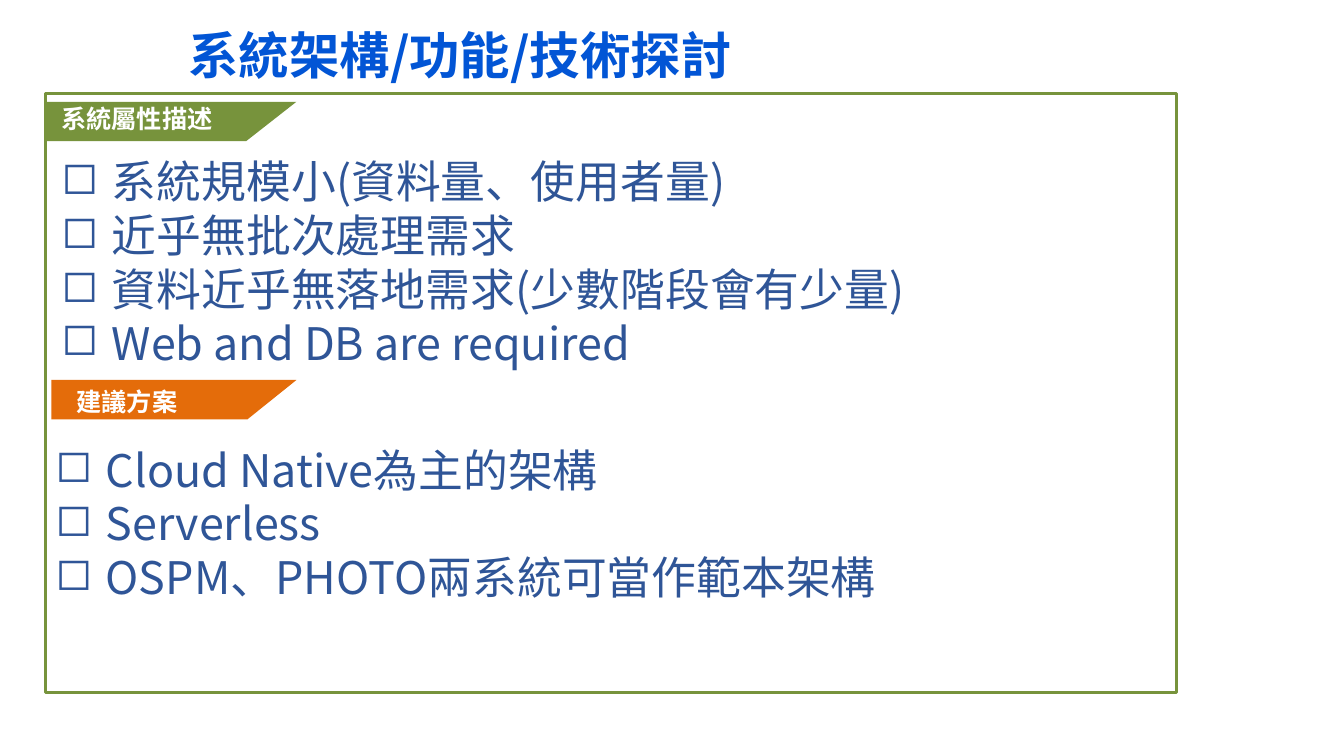
"""Build the slide on system architecture, functions and technology."""
from dataclasses import dataclass

import pptx
import pptx.dml.color
import pptx.enum.shapes
import pptx.enum.text
import pptx.oxml.ns
import pptx.shapes.autoshape
import pptx.slide
import pptx.text.text
import pptx.util
from lxml import etree

Inches = pptx.util.Inches
FONT = "Noto Sans CJK SC"
COLORS = {
    "green": "77933C",
    "orange": "E46C0A",
    "body": "2F5597",
    "white": "FFFFFF",
    "title_top": "0255D5",
    "title_bottom": "072C85",
}


@dataclass(frozen=True)
class Box:
    left: float
    top: float
    width: float
    height: float


@dataclass(frozen=True)
class Section:
    heading: str
    heading_box: Box
    heading_wraps: bool
    banner_box: Box
    banner_color: str
    points: tuple[str, ...]
    points_box: Box


SECTIONS = (
    Section(
        "系統屬性描述", Box(0.51, 0.98, 1.72, 0.4), False,
        Box(1.5, -0.04, 0.39, 2.49), "green",
        ("系統規模小(資料量、使用者量)", "近乎無批次處理需求",
         "資料近乎無落地需求(少數階段會有少量)", "Web and DB are required"),
        Box(0.51, 1.48, 10.72, 2.26),
    ),
    Section(
        "建議方案", Box(0.66, 3.78, 1.57, 0.4), True,
        Box(1.53, 2.75, 0.39, 2.43), "orange",
        ("Cloud Native為主的架構", "Serverless", "OSPM、PHOTO兩系統可當作範本架構"),
        Box(0.45, 4.34, 10.72, 2.26),
    ),
)


def rgb(name: str) -> pptx.dml.color.RGBColor:
    return pptx.dml.color.RGBColor.from_string(COLORS[name])


def add_shape(slide: pptx.slide.Slide, preset: pptx.enum.shapes.MSO_SHAPE,
              box: Box) -> pptx.shapes.autoshape.Shape:
    shape = slide.shapes.add_shape(preset, Inches(box.left), Inches(box.top),
                                   Inches(box.width), Inches(box.height))
    shape.shadow.inherit = False
    return shape


def add_banner(slide: pptx.slide.Slide, section: Section) -> None:
    banner = add_shape(slide, pptx.enum.shapes.MSO_SHAPE.FLOWCHART_MANUAL_INPUT,
                       section.banner_box)
    banner.rotation = 270
    banner.element.spPr.find(pptx.oxml.ns.qn("a:xfrm")).set("flipV", "1")
    banner.fill.solid()
    banner.fill.fore_color.rgb = rgb(section.banner_color)
    banner.line.fill.background()


def add_frame(slide: pptx.slide.Slide) -> None:
    frame = add_shape(slide, pptx.enum.shapes.MSO_SHAPE.RECTANGLE,
                      Box(0.45, 0.93, 11.22, 5.94))
    frame.fill.background()
    frame.line.color.rgb = rgb("green")
    frame.line.width = pptx.util.Pt(2)


def add_text(slide: pptx.slide.Slide, box: Box, text: str, size: float, color: str,
             bold: bool = False, wrap: bool = True) -> pptx.text.text.TextFrame:
    frame = slide.shapes.add_textbox(Inches(box.left), Inches(box.top),
                                     Inches(box.width), Inches(box.height)).text_frame
    frame.word_wrap = wrap
    frame.text = text
    for paragraph in frame.paragraphs:
        for run in paragraph.runs:
            run.font.size = pptx.util.Pt(size)
            run.font.bold = bold
            run.font.name = FONT
            run.font.color.rgb = rgb(color)
            east_asian = etree.SubElement(run.font._element, pptx.oxml.ns.qn("a:ea"))
            east_asian.set("typeface", FONT)
    return frame


def add_title(slide: pptx.slide.Slide) -> None:
    title = add_text(slide, Box(1.77, 0.22, 9.9, 0.71), "系統架構/功能/技術探討",
                     36, "title_top", bold=True)
    title.vertical_anchor = pptx.enum.text.MSO_ANCHOR.MIDDLE
    paragraph = title.paragraphs[0]
    paragraph.line_spacing = 0.9
    fill = paragraph.runs[0].font.fill
    fill.gradient()
    fill.gradient_angle = 270
    for stop, color in zip(fill.gradient_stops, ("title_top", "title_bottom")):
        stop.color.rgb = rgb(color)


def add_points(slide: pptx.slide.Slide, section: Section) -> None:
    points = add_text(slide, section.points_box, "\n".join(section.points), 32, "body")
    for paragraph in points.paragraphs:
        paragraph.alignment = pptx.enum.text.PP_ALIGN.JUSTIFY
        properties = paragraph._p.get_or_add_pPr()
        properties.set("marL", str(Inches(0.5)))
        properties.set("indent", str(Inches(-0.5)))
        bullet = etree.SubElement(properties, pptx.oxml.ns.qn("a:buChar"))
        bullet.set("char", "◻")


def main() -> None:
    presentation = pptx.Presentation()
    presentation.slide_width = Inches(13.33)
    presentation.slide_height = Inches(7.5)
    slide = presentation.slides.add_slide(presentation.slide_layouts[6])
    for section in SECTIONS:
        add_banner(slide, section)
    add_frame(slide)
    add_title(slide)
    for section in SECTIONS:
        add_text(slide, section.heading_box, section.heading, 18, "white",
                 bold=True, wrap=section.heading_wraps)
        add_points(slide, section)
    presentation.save("out.pptx")


if __name__ == "__main__":
    main()
